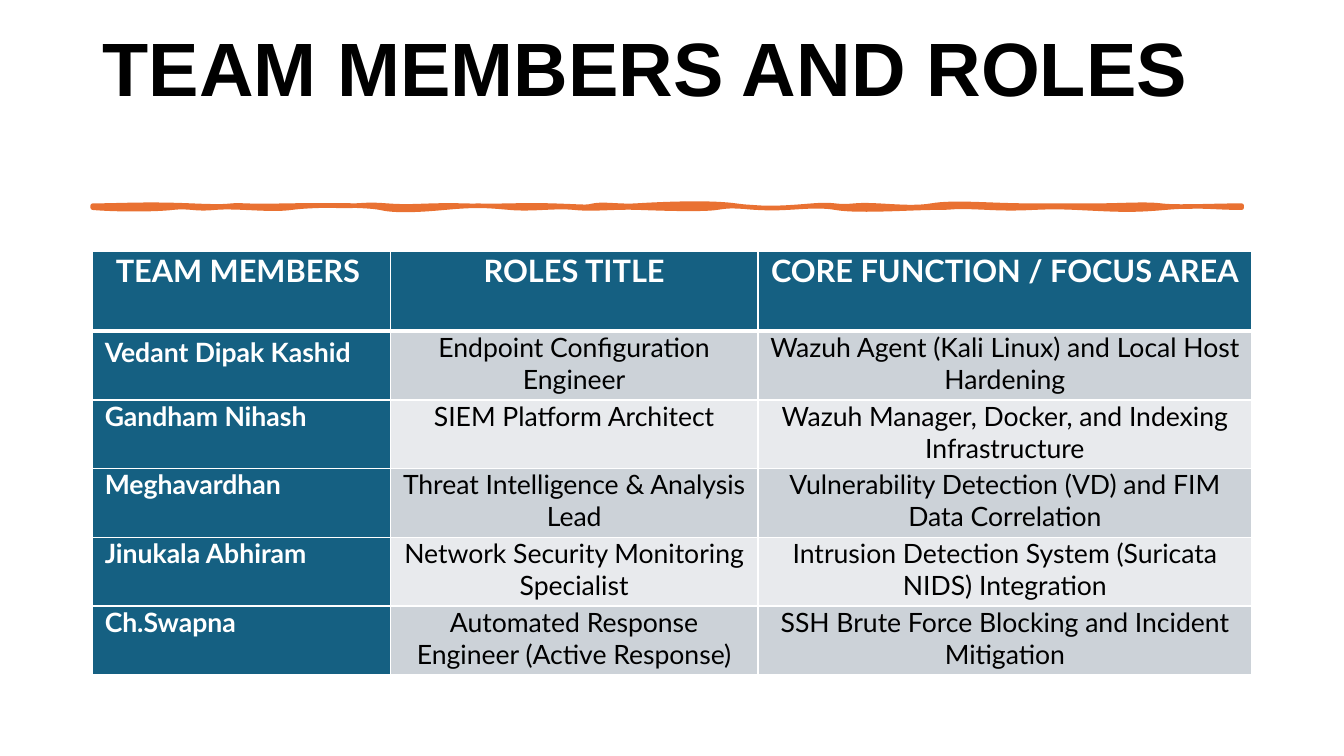
import pptx
import pptx.util
import pptx.dml.color
import pptx.enum.text
from pptx.oxml.ns import qn
from lxml import etree

Cm, Pt = pptx.util.Cm, pptx.util.Pt
ALIGN = pptx.enum.text.PP_ALIGN
ANCHOR = pptx.enum.text.MSO_ANCHOR

# Content
TITLE = "TEAM MEMBERS AND ROLES"
ROWS = [
    ("TEAM MEMBERS ", "ROLES TITLE", "CORE FUNCTION / FOCUS AREA"),
    ("Vedant Dipak Kashid", "Endpoint Configuration Engineer",
     "Wazuh Agent (Kali Linux) and Local Host Hardening"),
    ("Gandham Nihash", "SIEM Platform Architect",
     "Wazuh Manager, Docker, and Indexing Infrastructure"),
    ("Meghavardhan", "Threat Intelligence & Analysis Lead",
     "Vulnerability Detection (VD) and FIM Data Correlation"),
    ("Jinukala Abhiram", "Network Security Monitoring Specialist",
     "Intrusion Detection System (Suricata NIDS) Integration"),
    ("Ch.Swapna", "Automated Response Engineer (Active Response)",
     "SSH Brute Force Blocking and Incident Mitigation"),
]
COL_WIDTHS = (7.5, 9.26, 12.45)
HEADER_HEIGHT, ROW_HEIGHT = 2.01, 1.73
LEFT = 2.34

# Brush stroke edges in inches: control x, y, control x, y, end x
EDGE_START, EDGE_END = 0.92, 12.32
TOP_Y, BOTTOM_Y = 2.04, 2.06
TOP_EDGE = [
    (1.19, 2.04, 1.44, 2.02, 1.9), (2.37, 2.06, 2.2, 2.03, 2.44),
    (2.67, 2.05, 3.03, 2.03, 3.31), (3.6, 2.05, 3.59, 2.02, 3.84),
    (4.1, 2.06, 4.23, 2.03, 4.6), (4.98, 2.05, 5.14, 2.03, 5.48),
    (5.81, 2.05, 5.81, 2.06, 5.89), (5.98, 2.02, 6.15, 2.05, 6.31),
    (6.47, 2.03, 7.01, 2.0, 7.3), (7.59, 2.08, 7.81, 2.06, 8.06),
    (8.31, 2.02, 8.27, 2.06, 8.48), (8.68, 2.02, 9.01, 2.08, 9.24),
    (9.47, 2.0, 9.82, 2.04, 10.23), (10.63, 2.04, 10.63, 2.04, 10.87),
    (11.12, 2.04, 11.36, 2.02, 11.52), (11.68, 2.06, 12.03, 2.04, 12.32),
]
BOTTOM_EDGE = [
    (12.05, 2.06, 11.89, 2.03, 11.56), (11.22, 2.09, 11.1, 2.08, 10.68),
    (10.27, 2.04, 10.23, 2.08, 9.81), (9.39, 2.04, 9.52, 2.06, 9.28),
    (9.04, 2.06, 8.51, 2.1, 8.29), (8.06, 2.02, 7.82, 2.08, 7.53),
    (7.24, 2.04, 7.25, 2.04, 7.11), (6.98, 2.08, 6.61, 2.07, 6.35),
    (6.09, 2.05, 5.9, 2.08, 5.7), (5.51, 2.04, 5.28, 2.08, 5.06),
    (4.83, 2.04, 4.73, 2.03, 4.41), (4.09, 2.09, 3.9, 2.09, 3.77),
    (3.63, 2.03, 3.1, 2.03, 2.89), (2.68, 2.09, 2.35, 2.04, 2.13),
    (1.92, 2.08, 1.89, 2.04, 1.71), (1.54, 2.08, 1.14, 2.08, 0.92),
]

# Formats
WHITE, BLACK, BLUE, ORANGE = "FFFFFF", "000000", "156082", "E97132"
BANDS = ("CCD2D8", "E8EAED")
TITLE_FONT = dict(name="Arial", size=Pt(54), bold=True)
HEADER_FONT = dict(name="Lato", size=Pt(22), bold=True)
NAME_FONT = dict(name="Lato", size=Pt(19), bold=True)
BODY_FONT = dict(name="Lato", size=Pt(19), bold=False)
CELL_MARGINS = dict(margin_left=Cm(0.3), margin_right=Cm(0.3),
                    margin_top=0, margin_bottom=0)


def rgb(color):
    return pptx.dml.color.RGBColor.from_string(color)


def apply(target, values):
    for key, value in values.items():
        setattr(target, key, value)


def write(tf, text, font, color, **paragraph_format):
    p = tf.paragraphs[0]
    apply(p, paragraph_format)
    r = p.add_run()
    r.text = text
    apply(r.font, font)
    r.font.color.rgb = rgb(color)


def inches(value):
    return Cm(2.54 * value)


def bend(line, segments, y):
    """Replace a straight path step by curves that all end at height y."""
    for x1, y1, x2, y2, x3 in segments:
        step = etree.Element(qn("a:cubicBezTo"))
        for px, py in ((x1, y1), (x2, y2), (x3, y)):
            etree.SubElement(step, qn("a:pt"),
                             x=str(inches(px) - inches(EDGE_START)),
                             y=str(inches(py) - inches(TOP_Y)))
        line.addprevious(step)
    line.getparent().remove(line)


def add_borders(cell, is_header):
    tcPr = cell._tc.get_or_add_tcPr()
    for i, side in enumerate(("lnL", "lnR", "lnT", "lnB")):
        width = Pt(3) if is_header and side == "lnB" else Pt(1)
        ln = etree.Element(qn("a:" + side), w=str(width))
        fill = etree.SubElement(ln, qn("a:solidFill"))
        etree.SubElement(fill, qn("a:srgbClr"), val=WHITE)
        tcPr.insert(i, ln)


prs = pptx.Presentation()
prs.slide_width, prs.slide_height = Cm(33.87), Cm(19.05)
s = prs.slides.add_slide(prs.slide_layouts[6])

# Title
tf = s.shapes.add_textbox(Cm(LEFT), Cm(0.79), Cm(29.21), Cm(3.9)).text_frame
apply(tf, dict(word_wrap=True, vertical_anchor=ANCHOR.TOP, margin_top=0))
write(tf, TITLE, TITLE_FONT, BLACK, line_spacing=0.9)

# Brush stroke: a thin bar whose long edges are bent
fb = s.shapes.build_freeform(inches(EDGE_START), inches(TOP_Y))
fb.add_line_segments([(inches(EDGE_END), inches(TOP_Y)),
                      (inches(EDGE_END), inches(BOTTOM_Y)),
                      (inches(EDGE_START), inches(BOTTOM_Y))], close=True)
sp = fb.convert_to_shape()
top, end, bottom = sp._element.spPr.findall(".//" + qn("a:lnTo"))[:3]
bend(top, TOP_EDGE, TOP_Y)
bend(bottom, BOTTOM_EDGE, BOTTOM_Y)
sp.shadow.inherit = False
sp.fill.solid()
sp.fill.fore_color.rgb = rgb(ORANGE)
sp.line.color.rgb = rgb(ORANGE)
sp.line.width = Pt(3.25)
ln = sp._element.spPr.find(qn("a:ln"))
ln.set("cap", "rnd")
etree.SubElement(ln, qn("a:round"))

# Table
heights = [HEADER_HEIGHT] + [ROW_HEIGHT] * (len(ROWS) - 1)
table = s.shapes.add_table(len(ROWS), len(COL_WIDTHS), Cm(LEFT), Cm(6.34),
                           Cm(sum(COL_WIDTHS)), Cm(sum(heights))).table
for column, width in zip(table.columns, COL_WIDTHS):
    column.width = Cm(width)
for i, (texts, height) in enumerate(zip(ROWS, heights)):
    table.rows[i].height = Cm(height)
    for j, text in enumerate(texts):
        cell = table.cell(i, j)
        apply(cell, CELL_MARGINS)
        cell.vertical_anchor = ANCHOR.TOP
        if i == 0:
            look = (BLUE, HEADER_FONT, WHITE, ALIGN.CENTER)
        elif j == 0:
            look = (BLUE, NAME_FONT, WHITE, ALIGN.LEFT)
        else:
            look = (BANDS[(i - 1) % 2], BODY_FONT, BLACK, ALIGN.CENTER)
        fill, font, color, align = look
        cell.fill.solid()
        cell.fill.fore_color.rgb = rgb(fill)
        spacing = 1.15 if (i, j) == (1, 0) else 1.0
        write(cell.text_frame, text, font, color,
              alignment=align, line_spacing=spacing)
        add_borders(cell, i == 0)

prs.save("out.pptx")
